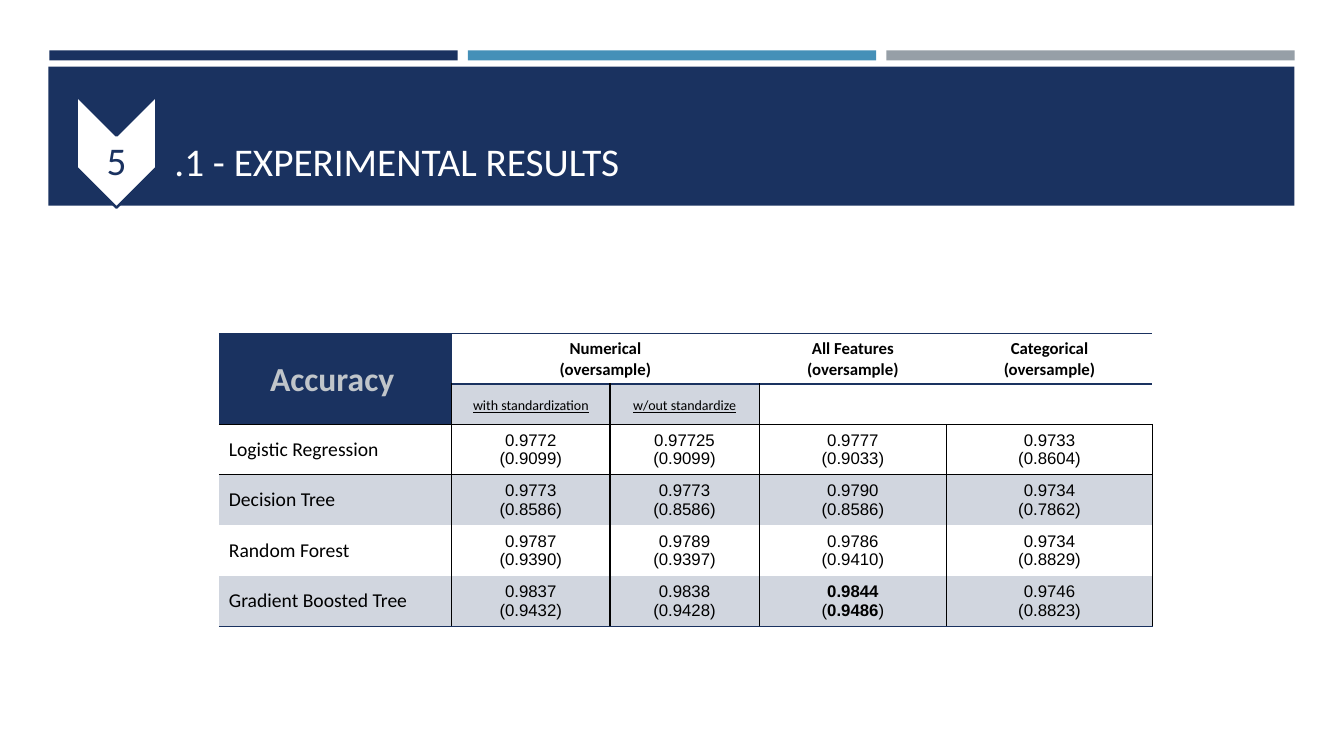
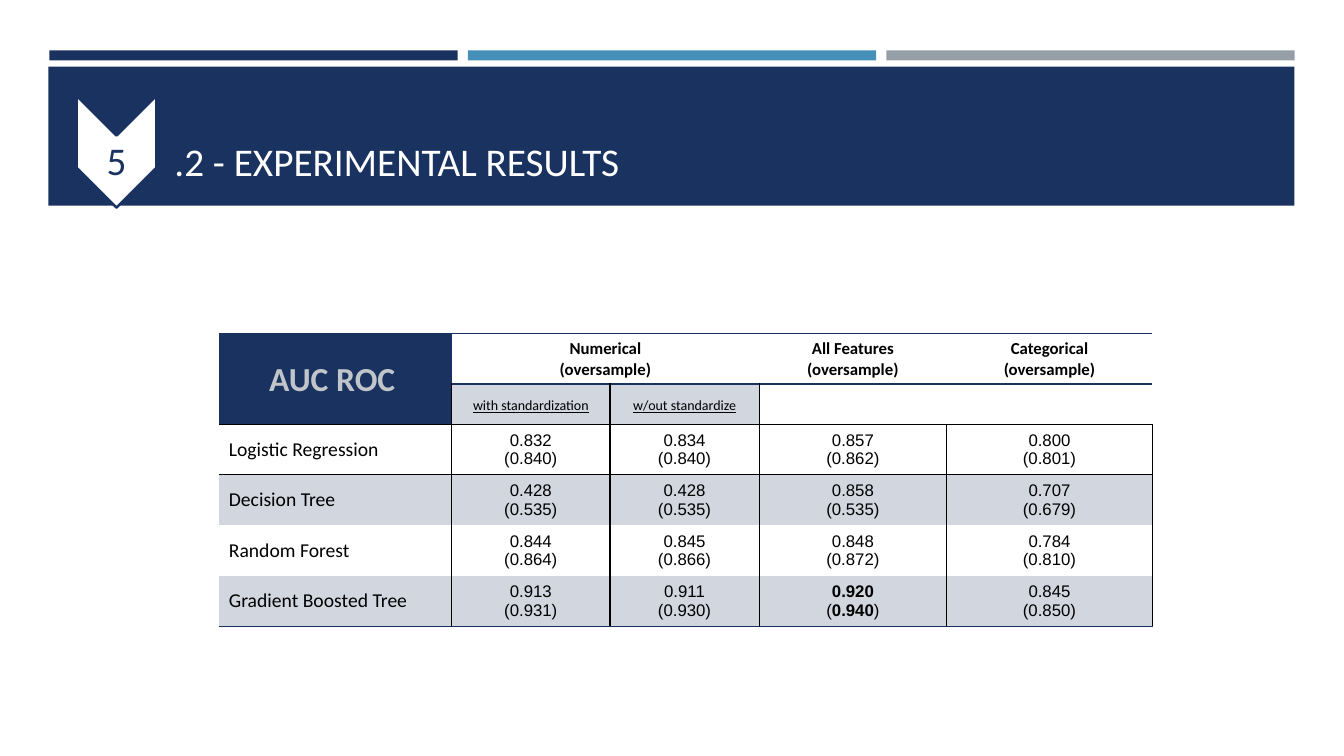
from dataclasses import dataclass

from lxml import etree
from pptx import Presentation
from pptx.dml.color import RGBColor
from pptx.enum.shapes import MSO_SHAPE
from pptx.enum.text import MSO_ANCHOR, MSO_AUTO_SIZE, PP_ALIGN
from pptx.oxml.ns import qn
from pptx.util import Inches, Pt

RECT, CHEVRON = MSO_SHAPE.RECTANGLE, MSO_SHAPE.CHEVRON
LEFT, CENTER = PP_ALIGN.LEFT, PP_ALIGN.CENTER
TOP, MIDDLE, BOTTOM = MSO_ANCHOR.TOP, MSO_ANCHOR.MIDDLE, MSO_ANCHOR.BOTTOM

NAVY = RGBColor(0x1A, 0x32, 0x60)
BLUE = RGBColor(0x45, 0x90, 0xB8)
GRAY = RGBColor(0x96, 0x9F, 0xA7)
SILVER = RGBColor(0xC0, 0xC5, 0xCA)
TINT = RGBColor(0xD1, 0xD6, 0xDF)
WHITE = RGBColor(0xFF, 0xFF, 0xFF)
BLACK = RGBColor(0, 0, 0)

COLS = (2.31, 1.57, 1.48, 1.86, 2.04)
ROWS = (0.39,) * 2 + (0.41,) * 4
MODELS = ("Logistic Regression", "Decision Tree", "Random Forest",
          "Gradient Boosted Tree")
HEADS = {1: "Numerical", 3: "All Features", 4: "Categorical"}
SUBS = {1: "with standardization", 2: "w/out standardize"}
RULES = {0: NAVY, 1: NAVY, 2: BLACK, 3: BLACK, 6: NAVY}
BEST = (3, 2)


@dataclass
class Band:
    left: float
    top: float
    width: float
    height: float
    color: RGBColor


@dataclass
class Result:
    title: str
    metric: str
    scores: tuple  # one row per model, each cell "value value-in-brackets"


BANDS = [Band(0.49 + 4.15 * i, 0.5, 4.05, 0.1, color)
         for i, color in enumerate((NAVY, BLUE, GRAY))]
BANDS.append(Band(0.48, 0.66, 12.36, 1.38, NAVY))

RESULTS = (
    Result(".1 - EXPERIMENTAL RESULTS", "Accuracy", (
        ("0.9772 0.9099", "0.97725 0.9099", "0.9777 0.9033", "0.9733 0.8604"),
        ("0.9773 0.8586", "0.9773 0.8586", "0.9790 0.8586", "0.9734 0.7862"),
        ("0.9787 0.9390", "0.9789 0.9397", "0.9786 0.9410", "0.9734 0.8829"),
        ("0.9837 0.9432", "0.9838 0.9428", "0.9844 0.9486", "0.9746 0.8823"),
    )),
    Result(".2 - EXPERIMENTAL RESULTS", "AUC ROC", (
        ("0.832 0.840", "0.834 0.840", "0.857 0.862", "0.800 0.801"),
        ("0.428 0.535", "0.428 0.535", "0.858 0.535", "0.707 0.679"),
        ("0.844 0.864", "0.845 0.866", "0.848 0.872", "0.784 0.810"),
        ("0.913 0.931", "0.911 0.930", "0.920 0.940", "0.845 0.850"),
    )),
)


def write(frame, *lines: str, size: float = 12, font: str = "Calibri",
          color: RGBColor = BLACK, bold: bool = False, line: bool = False,
          align=CENTER, space: float = 1.0) -> None:
    """Fill a text frame; parts between asterisks are bold."""
    for i, text in enumerate(lines):
        para = frame.paragraphs[0] if i == 0 else frame.add_paragraph()
        para.alignment, para.line_spacing = align, space
        for j, part in enumerate(text.split("*")):
            if not part:
                continue
            run = para.add_run()
            run.text = part
            run.font.size, run.font.name = Pt(size), font
            run.font.bold = bold or j % 2 == 1
            run.font.underline = line
            run.font.color.rgb = color


def add_box(slide, left: float, top: float, width: float, height: float,
            inset: float):
    box = slide.shapes.add_textbox(Inches(left), Inches(top),
                                   Inches(width), Inches(height))
    frame = box.text_frame
    frame.word_wrap, frame.vertical_anchor = True, MIDDLE
    frame.margin_left = frame.margin_right = Inches(inset)
    frame.margin_top = frame.margin_bottom = Inches(inset)
    return box


def add_form(slide, kind, left: float, top: float, width: float,
             height: float, color: RGBColor):
    form = slide.shapes.add_shape(kind, Inches(left), Inches(top),
                                  Inches(width), Inches(height))
    form.shadow.inherit = False
    form.fill.solid()
    form.fill.fore_color.rgb = color
    form.line.fill.background()
    return form


def add_bands(slide) -> None:
    """Draw the bands and move them to the layout, behind its title."""
    tree = slide.slide_layout.shapes.element
    for i, band in enumerate(BANDS):
        form = add_form(slide, RECT, band.left, band.top, band.width,
                        band.height, band.color)
        tree.insert(2 + i, form.element)


def add_head(slide, text: str) -> None:
    # Title
    title = slide.shapes.title
    title.left, title.top = Inches(0.63), Inches(0.8)
    title.width, title.height = Inches(12.06), Inches(1.08)
    frame = title.text_frame
    frame.auto_size, frame.vertical_anchor = MSO_AUTO_SIZE.NONE, BOTTOM
    write(frame, text, size=28, color=WHITE, align=LEFT)
    props = frame.paragraphs[0].font._element.getparent()
    props.set("marL", str(Inches(1)))
    props.set("indent", "0")

    # Section badge
    badge = add_form(slide, CHEVRON, 0.6, 1.11, 1.11, 0.79, WHITE)
    badge.rotation = 90
    badge.line.color.rgb, badge.line.width = NAVY, Pt(1.75)
    label = add_box(slide, 0.76, 1.45, 0.79, 0.33, 0.01)
    write(label.text_frame, "5", size=28, color=NAVY, space=0.9)
    slide.shapes.add_group_shape([badge, label])


def add_edge(cell, side: str, color: RGBColor | None) -> None:
    props = cell._tc.get_or_add_tcPr()
    edge = etree.SubElement(props, qn(f"a:ln{side}"), w=str(Pt(1)))
    if color is None:
        etree.SubElement(edge, qn("a:noFill"))
    else:
        fill = etree.SubElement(edge, qn("a:solidFill"))
        etree.SubElement(fill, qn("a:srgbClr"), val=str(color))


def upright(row: int, col: int) -> RGBColor | None:
    """Colour of the vertical rule at the left of a column."""
    shown = col >= 1 and (row >= 2 or row == 1 and col <= 3)
    return BLACK if shown else None


def style(cell, row: int, col: int) -> None:
    add_edge(cell, "L", upright(row, col))
    add_edge(cell, "R", upright(row, col + 1))
    add_edge(cell, "T", RULES.get(row))
    add_edge(cell, "B", RULES.get(row + 1))
    head = row < 2
    if head and col == 0:
        color = NAVY
    elif row in (3, 5) or row == 1 and col in SUBS:
        color = TINT
    else:
        color = None
    if color is None:
        cell.fill.background()
    else:
        cell.fill.solid()
        cell.fill.fore_color.rgb = color
    cell.vertical_anchor = TOP if head else MIDDLE


def add_grid(slide, result: Result) -> None:
    table = slide.shapes.add_table(
        len(ROWS), len(COLS), Inches(2.17), Inches(3.31),
        Inches(sum(COLS)), Inches(sum(ROWS))).table
    table.first_row = table.horz_banding = False
    for col, width in enumerate(COLS):
        table.columns[col].width = Inches(width)
    for row, height in enumerate(ROWS):
        table.rows[row].height = Inches(height)
        for col in range(len(COLS)):
            style(table.cell(row, col), row, col)
    table.cell(0, 1).merge(table.cell(0, 2))

    # Column heads
    for col, text in HEADS.items():
        write(table.cell(0, col).text_frame, text, "(oversample)", bold=True)
    for col, text in SUBS.items():
        write(table.cell(1, col).text_frame, text, size=10, line=True,
              space=1.5)

    # Models and scores
    for i, (model, scores) in enumerate(zip(MODELS, result.scores)):
        write(table.cell(i + 2, 0).text_frame, model, size=14, align=LEFT)
        for j, pair in enumerate(scores):
            mark = "*" if (i, j) == BEST else ""
            first, second = (f"{mark}{n}{mark}" for n in pair.split())
            write(table.cell(i + 2, j + 1).text_frame, first, f"({second})",
                  font="Arial")

    # Metric name over the corner
    label = add_box(slide, 2.31, 3.5, 1.97, 0.5, 0.05)
    write(label.text_frame, result.metric, size=24, color=SILVER, bold=True)


def main() -> None:
    deck = Presentation()
    deck.slide_width, deck.slide_height = Inches(13.33), Inches(7.5)
    layout = deck.slide_layouts[5]
    for i, result in enumerate(RESULTS):
        slide = deck.slides.add_slide(layout)
        if i == 0:
            add_bands(slide)
        add_head(slide, result.title)
        add_grid(slide, result)
    deck.save("out.pptx")


if __name__ == "__main__":
    main()
